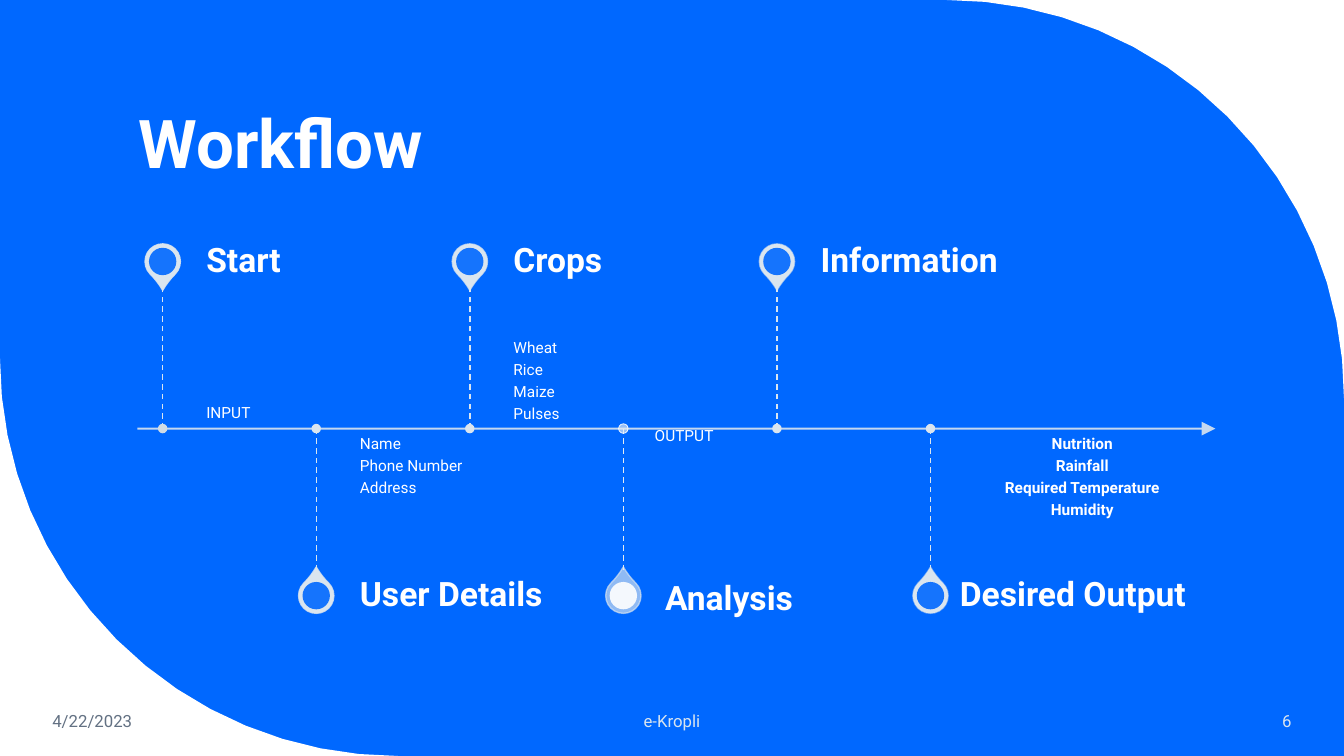
from dataclasses import dataclass
from math import cos, pi, sin

from lxml.etree import SubElement
from pptx import Presentation
from pptx.dml.color import RGBColor
from pptx.enum.dml import MSO_LINE
from pptx.enum.shapes import MSO_CONNECTOR, MSO_SHAPE
from pptx.enum.text import MSO_ANCHOR as Anchor, PP_ALIGN as Align
from pptx.oxml.ns import qn
from pptx.util import Cm, Pt

FONT = "Roboto"
BLUE, WHITE, PALE, GREY = "0068FF", "FFFFFF", "DAE5EF", "637183"
SLIDE_W, SLIDE_H = 33.87, 19.05
LINE_PITCH = 0.55
STEM = 3.58


@dataclass
class Step:
    label: str
    details: tuple = ()
    result: tuple = ()
    label_dx: float = 1.1
    label_dy: float = 0
    width: float = 5.51
    active: bool = False
    centred: bool = False
    dot: str = PALE


STEPS = (
    Step("Start", ("INPUT",), dot="D0DBE4"),
    Step("User Details", ("Name", "Phone Number", "Address")),
    Step("Crops", ("Wheat", "Rice", "Maize", "Pulses"), result=("OUTPUT",)),
    Step("Analysis", label_dx=1.05, label_dy=0.1, active=True, dot="E3EBF2"),
    Step("Information"),
    Step("Desired Output",
         ("Nutrition", "Rainfall", "Required Temperature", "Humidity"),
         label_dx=0.74, width=6.17, centred=True),
)


def set_colour(fill, colour, opacity=100):
    fill.solid()
    fill.fore_color.rgb = RGBColor.from_string(colour)
    if opacity < 100:
        rgb = fill._xPr.find(qn("a:solidFill"))[0]
        SubElement(rgb, qn("a:alpha"), val=str(opacity * 1000))


def add_text(slide, box, lines, size, colour=WHITE, bold=False,
             align=Align.LEFT, anchor=Anchor.MIDDLE, spacing=0.9, after=0):
    frame = slide.shapes.add_textbox(*map(Cm, box)).text_frame
    frame.word_wrap = True
    frame.vertical_anchor = anchor
    frame.margin_left = frame.margin_right = 0
    frame.margin_top = frame.margin_bottom = 0
    frame.text = "\n".join(lines)
    for paragraph in frame.paragraphs:
        paragraph.alignment = align
        paragraph.line_spacing = spacing
        paragraph.space_after = Pt(after)
        font = paragraph.runs[0].font
        font.name, font.size, font.bold = FONT, Pt(size), bold
        font.color.rgb = RGBColor.from_string(colour)
    return frame


def add_line(slide, start, end, colour, width, opacity=100):
    line = slide.shapes.add_connector(
        MSO_CONNECTOR.STRAIGHT, *map(Cm, start + end))
    line.line.width = Pt(width)
    set_colour(line.line.fill, colour, opacity)
    SubElement(line._element.spPr, qn("a:effectLst"))
    return line


def add_round(slide, kind, centre, size, colour, opacity=100):
    """Add a shape of equal width and height around a centre point."""
    x, y = centre
    shape = slide.shapes.add_shape(
        kind, Cm(x - size / 2), Cm(y - size / 2), Cm(size), Cm(size))
    shape.shadow.inherit = False
    set_colour(shape.fill, colour, opacity)
    shape.line.fill.background()
    return shape


def add_corner(slide, box, side):
    """Fill the area between a quarter circle and the box corner it faces.

    side is 1 for the top right corner and -1 for the bottom left one.
    """
    left, top, radius = box
    corner_x, corner_y = (left + radius, top) if side > 0 else (left, top + radius)
    centre_x, centre_y = corner_x - side * radius, corner_y + side * radius
    parts = 16
    angles = [pi / 2 * i / parts for i in range(parts + 1)]
    arc = [(Cm(centre_x + side * radius * sin(a)),
            Cm(centre_y - side * radius * cos(a))) for a in angles]
    outline = slide.shapes.build_freeform(Cm(corner_x), Cm(corner_y))
    outline.add_line_segments(arc, close=True)
    corner = outline.convert_to_shape()
    corner.shadow.inherit = False
    set_colour(corner.fill, WHITE)
    corner.line.fill.background()


def add_details(slide, x, axis_y, step, above):
    """List the details next to the stem, any result below the axis."""
    height = len(step.details) * LINE_PITCH if above else STEM
    top = axis_y - 0.03 - height if above else axis_y + 0.19
    frame = add_text(slide, (x, top, step.width, height),
                     step.details + step.result, 11, bold=step.centred,
                     anchor=Anchor.TOP, after=3.9,
                     align=Align.CENTER if step.centred else Align.LEFT)
    if step.result:
        indent = frame.paragraphs[-1]._p.get_or_add_pPr()
        indent.set("marL", str(Cm(3.56)))
        indent.set("indent", "0")


def add_step(slide, x, axis_y, step, above, edge_opacity):
    """Add pin, stem, dot and texts of one step at its place on the axis."""
    side = -1 if above else 1
    pin_centre = (x, axis_y + side * 4.21)

    pin = add_round(slide, MSO_SHAPE.TEAR, pin_centre, 0.89, PALE,
                    66 if step.active else 100)
    pin.adjustments[0] = 1.15
    pin.rotation = 135 if above else 315
    pin.line.width = Pt(1)
    set_colour(pin.line.fill, PALE, edge_opacity)
    add_round(slide, MSO_SHAPE.OVAL, pin_centre, 0.69,
              WHITE if step.active else BLUE, 90)

    text_x = x + step.label_dx
    if step.details:
        add_details(slide, text_x, axis_y, step, above)
    add_text(slide,
             (text_x, pin_centre[1] - 0.64 + step.label_dy, step.width, 1.28),
             [step.label], 24, bold=True)

    stem = add_line(slide, (x, axis_y), (x, axis_y + side * STEM),
                    "E3EBF2" if step.active else PALE, 1)
    stem.line.dash_style = MSO_LINE.DASH
    dot = add_round(slide, MSO_SHAPE.OVAL, (x, axis_y), 0.24, step.dot,
                    67 if step.active else 100)
    if step.active:
        set_colour(dot.line.fill, WHITE)
        dot.line.width = Pt(0.5)


def add_timeline(slide, left, axis_y, width):
    axis = add_line(slide, (left, axis_y), (left + width, axis_y), PALE, 1.5, 90)
    SubElement(axis.line._get_or_add_ln(), qn("a:tailEnd"),
               type="triangle", w="lg", len="lg")
    for i, step in enumerate(STEPS):
        add_step(slide, left + 0.64 + i * 3.87, axis_y, step, i % 2 == 0,
                 90 - 8 * i)


def add_footer(slide, left, top, width, height):
    side_w, centre_w = 4.22, 10.92
    parts = (
        ("4/22/2023", GREY, Align.LEFT, left, side_w),
        ("e-Kropli", PALE, Align.CENTER, left + (width - centre_w) / 2, centre_w),
        ("6", PALE, Align.RIGHT, left + width - side_w, side_w),
    )
    for words, colour, align, part_left, part_w in parts:
        add_text(slide, (part_left, top, part_w, height), [words], 12,
                 colour, align=align, spacing=1)


def main():
    deck = Presentation()
    deck.slide_width, deck.slide_height = Cm(SLIDE_W), Cm(SLIDE_H)
    slide = deck.slides.add_slide(deck.slide_layouts[6])
    set_colour(slide.background.fill, BLUE)

    radius = 10.03
    add_corner(slide, (SLIDE_W - radius, 0, radius), 1)
    add_corner(slide, (0, SLIDE_H - radius, radius), -1)
    add_text(slide, (3.49, 1.07, 26.65, 3.55), ["Workflow"], 48, bold=True,
             anchor=Anchor.BOTTOM)
    add_timeline(slide, 3.46, 10.8, 27.17)
    add_footer(slide, 1.32, 17.65, SLIDE_W - 2 * 1.32, 1.02)
    deck.save("out.pptx")


if __name__ == "__main__":
    main()
